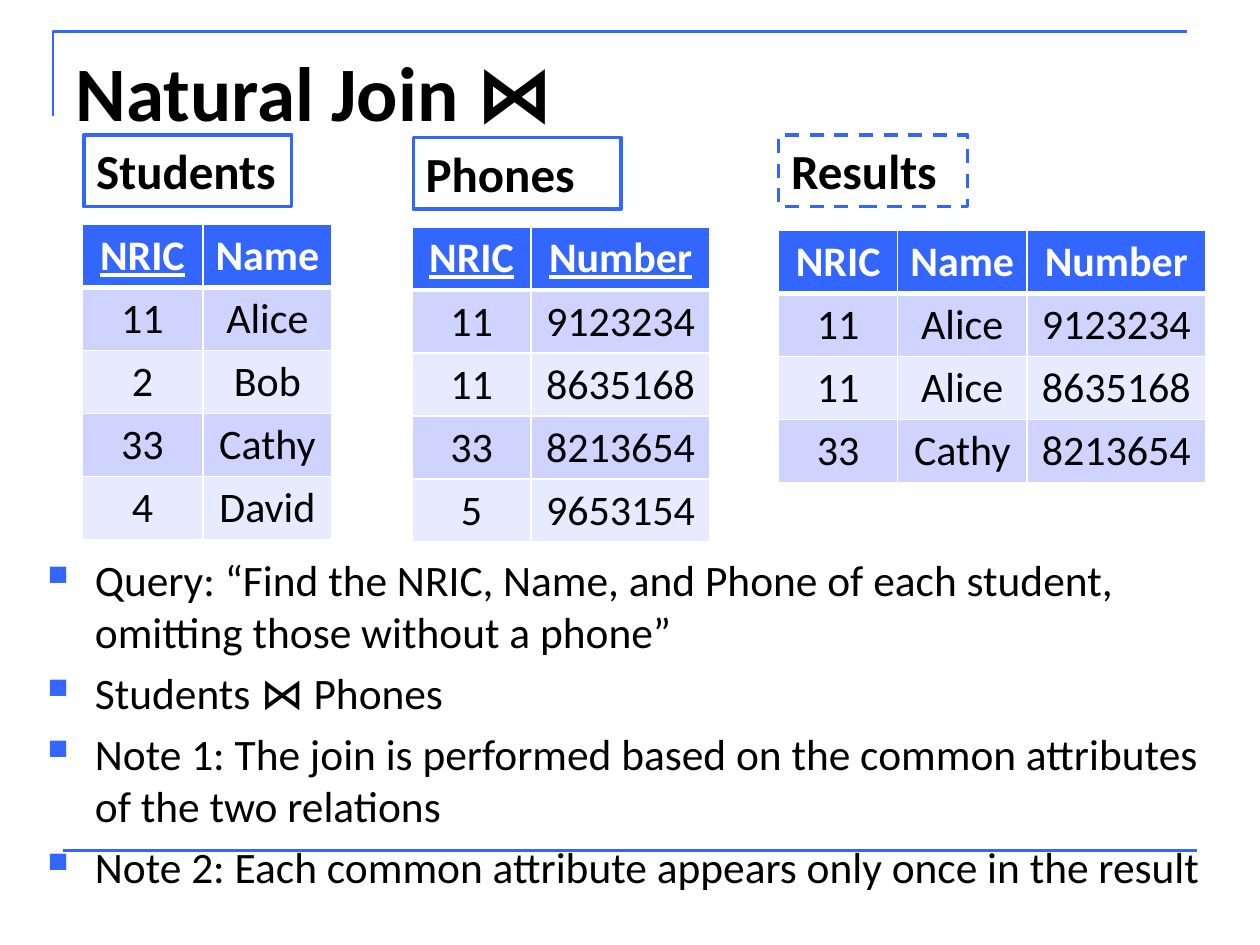
from lxml.etree import SubElement
from pptx import Presentation
from pptx.dml.color import RGBColor
from pptx.enum.dml import MSO_LINE
from pptx.enum.shapes import MSO_CONNECTOR as Connector, MSO_SHAPE as Shape
from pptx.enum.text import MSO_ANCHOR as Anchor, PP_ALIGN as Align
from pptx.oxml.ns import qn
from pptx.util import Inches, Pt

COLORS = {
    "accent": "3366FF",
    "text": "000000",
    "white": "FFFFFF",
    "dark_band": "CED3FF",
    "light_band": "E8EAFF",
}
FONT = "Calibri"
COLUMNS, ROWS = 100, 75
WIDTH, HEIGHT = Inches(10), Inches(7.5)
ROW_HEIGHT = 5
NRIC, NAME, NUMBER = 9.45, 10.25, 14.2

RELATIONS = [
    {"name": "Students", "label": (6.65, 10.7, 16.5), "table": (6.5, 17.8),
     "widths": [9.6, NAME], "keys": {"NRIC"}, "line": MSO_LINE.SOLID,
     "rows": [("NRIC", "Name"), ("11", "Alice"), ("2", "Bob"),
              ("33", "Cathy"), ("4", "David")]},
    {"name": "Phones", "label": (32.8, 10.9, 16.5), "table": (32.7, 18),
     "widths": [NRIC, NUMBER], "keys": {"NRIC", "Number"}, "line": MSO_LINE.SOLID,
     "rows": [("NRIC", "Number"), ("11", "9123234"), ("11", "8635168"),
              ("33", "8213654"), ("5", "9653154")]},
    {"name": "Results", "label": (61.8, 10.7, 15), "table": (61.8, 18.3),
     "widths": [NRIC, NAME, NUMBER], "keys": set(), "line": MSO_LINE.DASH,
     "rows": [("NRIC", "Name", "Number"), ("11", "Alice", "9123234"),
              ("11", "Alice", "8635168"), ("33", "Cathy", "8213654")]},
]
NOTES = [
    "Query: “Find the NRIC, Name, and Phone of each student, omitting those without a phone”",
    "Students ⋈ Phones",
    "Note 1: The join is performed based on the common attributes of the two relations",
    "Note 2: Each common attribute appears only once in the result",
]


def across(columns):
    return round(WIDTH * columns / COLUMNS)


def down(rows):
    return round(HEIGHT * rows / ROWS)


def box(left, top, width, height):
    return across(left), down(top), across(width), down(height)


def color(name):
    return RGBColor.from_string(COLORS[name])


def format_paragraph(paragraph, size, name="text", bold=False, align=Align.LEFT):
    paragraph.alignment = align
    font = paragraph.font
    font.name, font.size, font.bold = FONT, Pt(size), bold
    font.color.rgb = color(name)


def format_line(shape, width, dash=MSO_LINE.SOLID):
    shape.line.color.rgb = color("accent")
    shape.line.width = Pt(width)
    shape.line.dash_style = dash


def add_rules(slide):
    builder = slide.shapes.build_freeform(across(4.2), down(9.2))
    builder.add_line_segments(
        [(across(4.2), down(2.5)), (across(94.2), down(2.5))], close=False)
    corner = builder.convert_to_shape()
    corner.shadow.inherit = False
    corner.fill.background()
    format_line(corner, 1.5)
    footer = slide.shapes.add_connector(
        Connector.STRAIGHT, across(5), down(67.5), across(95), down(67.5))
    format_line(footer, 1.5)
    SubElement(footer.line._get_or_add_ln().getparent(), qn("a:effectLst"))


def set_title(slide, text):
    title = slide.shapes.title
    title.left, title.top, title.width, title.height = box(5, 3, 90, 12.5)
    title.text_frame.text = text
    title.text_frame.vertical_anchor = Anchor.TOP
    format_paragraph(title.text_frame.paragraphs[0], 44, bold=True)


def add_bullet(paragraph):
    properties = paragraph._p.get_or_add_pPr()
    indent = across(3.75)
    properties.set("marL", str(indent))
    properties.set("indent", str(-indent))
    bullet_color = SubElement(properties, qn("a:buClr"))
    SubElement(bullet_color, qn("a:srgbClr"), val=COLORS["accent"])
    SubElement(properties, qn("a:buSzPct"), val="65000")
    SubElement(properties, qn("a:buChar"), char="■")


def add_notes(slide, notes):
    frame = slide.shapes.add_textbox(*box(2.8, 43.4, 95.3, 24)).text_frame
    frame.word_wrap = True
    for index, note in enumerate(notes):
        paragraph = frame.add_paragraph() if index else frame.paragraphs[0]
        paragraph.text = note
        add_bullet(paragraph)
        paragraph.space_before = Pt(5)
        format_paragraph(paragraph, 24.8)


def add_label(slide, relation):
    label = slide.shapes.add_shape(Shape.RECTANGLE, *box(*relation["label"], 5.7))
    label.shadow.inherit = False
    label.fill.background()
    format_line(label, 2, relation["line"])
    frame = label.text_frame
    frame.text = relation["name"]
    frame.word_wrap = True
    frame.margin_right = across(0.5)
    frame.vertical_anchor = Anchor.TOP
    format_paragraph(frame.paragraphs[0], 28, bold=True)


def add_borders(cell, header):
    properties = cell._tc.get_or_add_tcPr()
    for side in "LRTB":
        width = Pt(3 if header and side == "B" else 1)
        border = SubElement(properties, qn(f"a:ln{side}"), w=str(width))
        fill = SubElement(border, qn("a:solidFill"))
        SubElement(fill, qn("a:srgbClr"), val=COLORS["white"])


def fill_cell(cell, text, row, underline):
    header = row == 0
    band = "accent" if header else "dark_band" if row % 2 else "light_band"
    add_borders(cell, header)
    cell.fill.solid()
    cell.fill.fore_color.rgb = color(band)
    cell.margin_left = cell.margin_right = across(0.5)
    cell.text = text
    paragraph = cell.text_frame.paragraphs[0]
    format_paragraph(paragraph, 24, "white" if header else "text", header, Align.CENTER)
    paragraph.font.underline = underline


def add_relation_table(slide, relation):
    rows, widths = relation["rows"], relation["widths"]
    area = box(*relation["table"], sum(widths), ROW_HEIGHT * len(rows))
    table = slide.shapes.add_table(len(rows), len(widths), *area).table
    for column, width in zip(table.columns, widths):
        column.width = across(width)
    for row, values in enumerate(rows):
        for column, text in enumerate(values):
            fill_cell(table.cell(row, column), text, row, text in relation["keys"])


def main():
    presentation = Presentation()
    presentation.slide_width, presentation.slide_height = WIDTH, HEIGHT
    slide = presentation.slides.add_slide(presentation.slide_layouts[5])
    add_rules(slide)
    set_title(slide, "Natural Join ⋈")
    add_notes(slide, NOTES)
    for relation in RELATIONS:
        add_relation_table(slide, relation)
        add_label(slide, relation)
    presentation.save("out.pptx")


if __name__ == "__main__":
    main()
